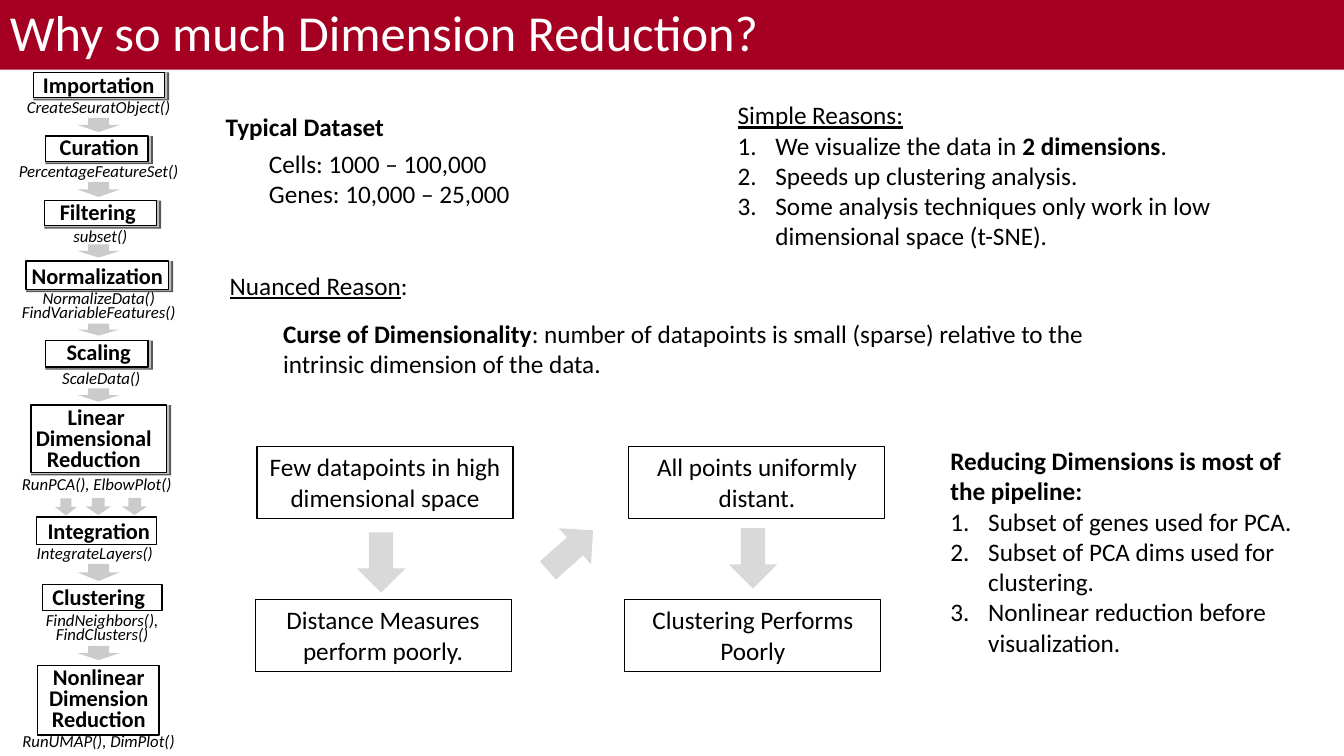
from dataclasses import dataclass
from typing import NamedTuple

from lxml.etree import SubElement
from pptx import Presentation
from pptx.dml.color import RGBColor
from pptx.enum.shapes import MSO_SHAPE as Kind
from pptx.enum.text import MSO_ANCHOR as Anchor, PP_ALIGN as Align
from pptx.oxml.ns import qn
from pptx.util import Pt

BLACK = RGBColor(0, 0, 0)
WHITE = RGBColor(255, 255, 255)
RED = RGBColor(0xA5, 0x00, 0x21)
DARK = RGBColor(0x59, 0x59, 0x59)
MID = RGBColor(0xBF, 0xBF, 0xBF)
STEP = RGBColor(0xCB, 0xCB, 0xCB)
PALE = RGBColor(0xD9, 0xD9, 0xD9)


class Frame(NamedTuple):
    x: float
    y: float
    w: float
    h: float


class Span(NamedTuple):
    text: str
    style: str = ""


@dataclass
class Para:
    spans: list[Span]
    listed: bool = False


@dataclass
class Look:
    size: float = 18
    color: RGBColor = BLACK
    align: Align = Align.LEFT
    gap: Pt | float | None = None
    anchor: Anchor = Anchor.TOP
    wrap: bool = True


@dataclass
class Stage:
    name: list[str]
    box: Frame
    label: Frame
    calls: list[str]
    note: Frame
    shade: bool = False
    gap: Pt | None = None


@dataclass
class Arrow:
    frame: Frame
    kind: Kind = Kind.RIGHT_ARROW
    turn: float = 90
    color: RGBColor = STEP


@dataclass
class Block:
    frame: Frame
    paras: list[Para]
    wrap: bool = True


def plain(text: str, style: str = "") -> Para:
    return Para([Span(text, style)])


def item(*spans: Span) -> Para:
    return Para(list(spans), listed=True)


def number(para) -> None:
    """Give the paragraph a hanging automatic number."""
    props = para._p.get_or_add_pPr()
    props.set("marL", str(Pt(27)))
    props.set("indent", str(-Pt(27)))
    SubElement(props, qn("a:buFont"), typeface="+mj-lt")
    SubElement(props, qn("a:buAutoNum"), type="arabicPeriod")


def write(shape, paras: list[Para], look: Look) -> None:
    body = shape.text_frame
    body.word_wrap = look.wrap
    body.vertical_anchor = look.anchor
    for i, para in enumerate(paras):
        line = body.add_paragraph() if i else body.paragraphs[0]
        if para.listed:
            number(line)
        line.alignment = look.align
        if look.gap:
            line.line_spacing = look.gap
        for span in para.spans:
            run = line.add_run()
            run.text = span.text
            font = run.font
            font.name, font.size = "Calibri", Pt(look.size)
            font.color.rgb = look.color
            font.bold = "b" in span.style
            font.italic = "i" in span.style
            font.underline = "u" in span.style


def draw(frame: Frame, fill: RGBColor | None, kind: Kind = Kind.RECTANGLE, edge: float = 0):
    shape = slide.shapes.add_shape(kind, *map(Pt, frame))
    shape.shadow.inherit = False
    if fill is None:
        shape.fill.background()
    else:
        shape.fill.solid()
        shape.fill.fore_color.rgb = fill
    if edge:
        shape.line.color.rgb = BLACK
        shape.line.width = Pt(edge)
    else:
        shape.line.fill.background()
    return shape


def put(frame: Frame, paras: list[Para], look: Look) -> None:
    write(slide.shapes.add_textbox(*map(Pt, frame)), paras, look)


def show(stage: Stage) -> None:
    x, y, w, h = stage.box
    if stage.shade:
        draw(Frame(x, y, w + 3.5, h + 2), DARK)
        draw(Frame(x, y, w + 2, h + 1), MID)
    draw(stage.box, WHITE, edge=1)
    put(stage.label, [plain(t, "b") for t in stage.name],
        Look(16, align=Align.CENTER, gap=stage.gap))
    tight = Pt(10) if len(stage.calls) > 1 else None
    put(stage.note, [plain(t, "i") for t in stage.calls],
        Look(12, align=Align.CENTER, gap=tight, anchor=Anchor.BOTTOM))


STAGES = [
    Stage(["Importation"], Frame(23.8, 51.8, 93.6, 18), Frame(10.8, 47.5, 119.5, 26.6),
          ["CreateSeuratObject()"], Frame(0, 65.5, 141, 21.8), True),
    Stage(["Curation"], Frame(32.4, 97.2, 73.4, 18), Frame(28.1, 95.8, 85.7, 23),
          ["PercentageFeatureSet()"], Frame(0, 110.9, 141, 21.8), True, Pt(15)),
    Stage(["Filtering"], Frame(31.7, 143.3, 79.9, 18), Frame(29.5, 138.2, 80.6, 26.6),
          ["subset()"], Frame(38.9, 157.7, 65.5, 21.8), True),
    Stage(["Normalization"], Frame(18.7, 186.5, 101.5, 20.2), Frame(13.7, 183.6, 111.6, 26.6),
          ["NormalizeData()", "FindVariableFeatures()"], Frame(6.5, 206.6, 128.2, 27.2), True),
    Stage(["Scaling"], Frame(32.4, 243.4, 73.4, 18.7), Frame(25.2, 238.3, 90.7, 26.6),
          ["ScaleData()"], Frame(35.3, 258.5, 74.2, 21.8), True),
    Stage(["Linear Dimensional ", "Reduction "], Frame(22.3, 289.4, 96.5, 48.2),
          Frame(10.1, 288.7, 117.4, 53.3),
          ["RunPCA(), ElbowPlot() "], Frame(0.7, 334.8, 139.7, 21.8), True, Pt(15)),
    Stage(["Integration"], Frame(25.9, 369.4, 85.7, 19.4), Frame(15.1, 365.8, 110.9, 26.6),
          ["IntegrateLayers() "], Frame(18.7, 383.8, 100.8, 21.8)),
    Stage(["Clustering"], Frame(30.2, 417.6, 85.7, 18.7), Frame(15.1, 413.3, 110.9, 26.6),
          ["FindNeighbors(),", "FindClusters()"], Frame(23, 425.5, 100, 38)),
    Stage(["Nonlinear Dimension Reduction"], Frame(26.6, 475.2, 87.1, 49.7),
          Frame(15.1, 474.5, 110.9, 53.3),
          ["RunUMAP(), DimPlot()"], Frame(0, 521.3, 141, 18.7), gap=Pt(15)),
]

ARROWS = [
    *(Arrow(Frame(70.4 - w / 2, y, w, 30.2)) for y, w in (
        (74.2, 10.1), (120.2, 10.8), (164.2, 9.4), (220.3, 8.6),
        (267.1, 9.4), (393.8, 12.2), (451.4, 10.1))),
    *(Arrow(Frame(x, y, 12.2, w)) for x, y, w in (
        (41, 354.2, 15.8), (64.1, 352.8, 18), (90, 352.8, 18))),
    *(Arrow(Frame(x, y, 34.6, 43.2), Kind.DOWN_ARROW, turn, PALE) for x, y, turn in (
        (254.9, 380.2, 0), (390.2, 371.5, 228.3), (520.6, 377.3, 0))),
]

BLOCKS = [
    Block(Frame(154.1, 76.3, 128.2, 28.8), [plain("Typical Dataset", "b")], False),
    Block(Frame(185, 102.2, 188.6, 51.1),
          [plain("Cells: 1000 – 100,000"), plain("Genes: 10,000 – 25,000")], False),
    Block(Frame(519.8, 67.7, 387.4, 116.6), [
        plain("Simple Reasons:", "u"),
        item(Span("We visualize the data in "), Span("2 dimensions", "b"), Span(".")),
        item(Span("Speeds up clustering analysis.")),
        item(Span("Some analysis techniques only work in low dimensional space (t-SNE).")),
    ]),
    Block(Frame(195.1, 223.9, 628.6, 51.1), [Para([
        Span("Curse of Dimensionality", "b"),
        Span(": number of datapoints is small (sparse) relative to the "
             "intrinsic dimension of the data."),
    ])]),
    Block(Frame(157, 189.4, 143.3, 28.8), [Para([Span("Nuanced Reason", "u"), Span(":")])], False),
    Block(Frame(671.8, 314.6, 261.4, 159.8), [
        plain("Reducing Dimensions is most of the pipeline:", "b"),
        item(Span("Subset of genes used for PCA.")),
        item(Span("Subset of PCA dims used for clustering.")),
        item(Span("Nonlinear reduction before visualization.")),
    ]),
]

CLAIMS = [
    (183.6, 319, "Few datapoints in high dimensional space"),
    (182.2, 428.4, "Distance Measures perform poorly."),
    (449.3, 319, "All points uniformly distant."),
    (446.4, 428.4, "Clustering Performs Poorly"),
]

deck = Presentation()
deck.slide_width, deck.slide_height = Pt(960), Pt(540)
slide = deck.slides.add_slide(deck.slide_layouts[6])

for stage in STAGES:
    show(stage)
title = draw(Frame(0, 0, 960, 49.7), RED)
write(title, [plain("Why so much Dimension Reduction?")],
      Look(36, WHITE, gap=0.9, anchor=Anchor.MIDDLE))
for block in BLOCKS:
    put(block.frame, block.paras, Look(wrap=block.wrap))
for x, y, claim in CLAIMS:
    write(draw(Frame(x, y, 182.9, 51.1), None, edge=0.75), [plain(claim)],
          Look(align=Align.CENTER))
for arrow in ARROWS:
    draw(arrow.frame, arrow.color, arrow.kind).rotation = arrow.turn

deck.save("out.pptx")
